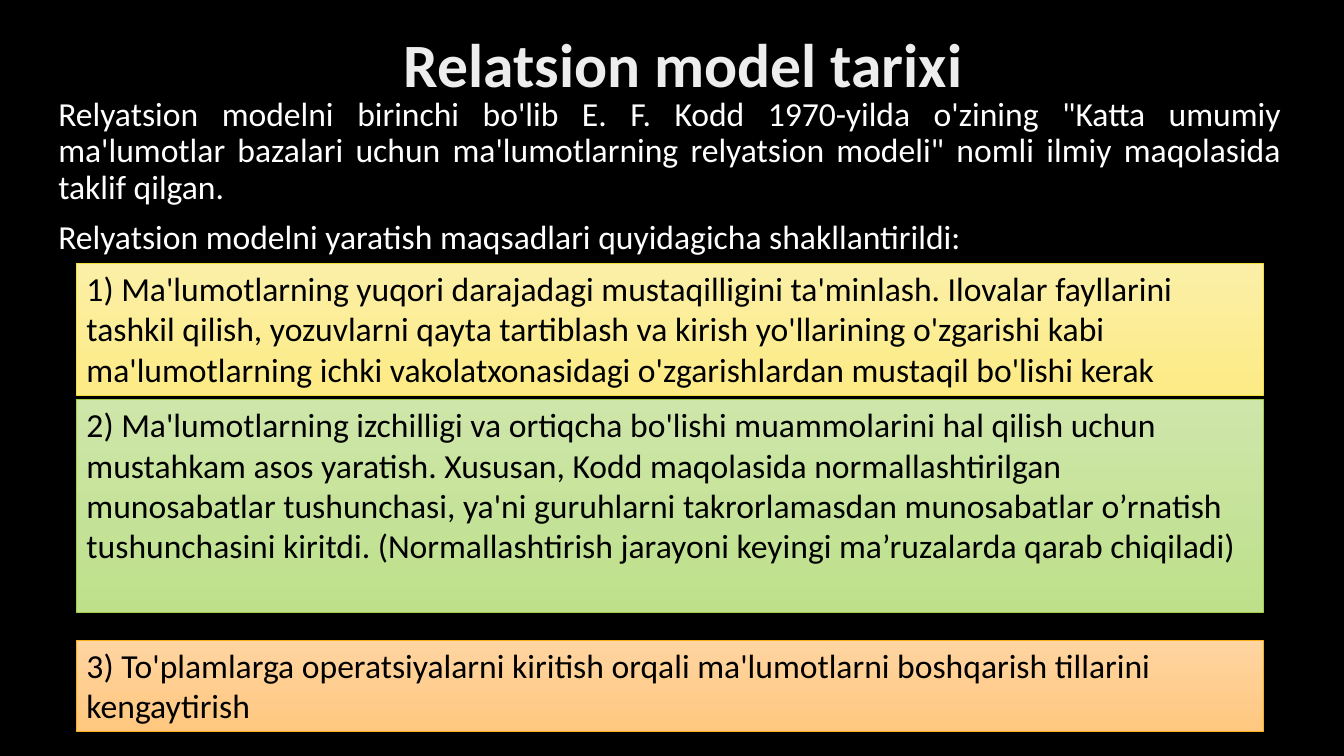
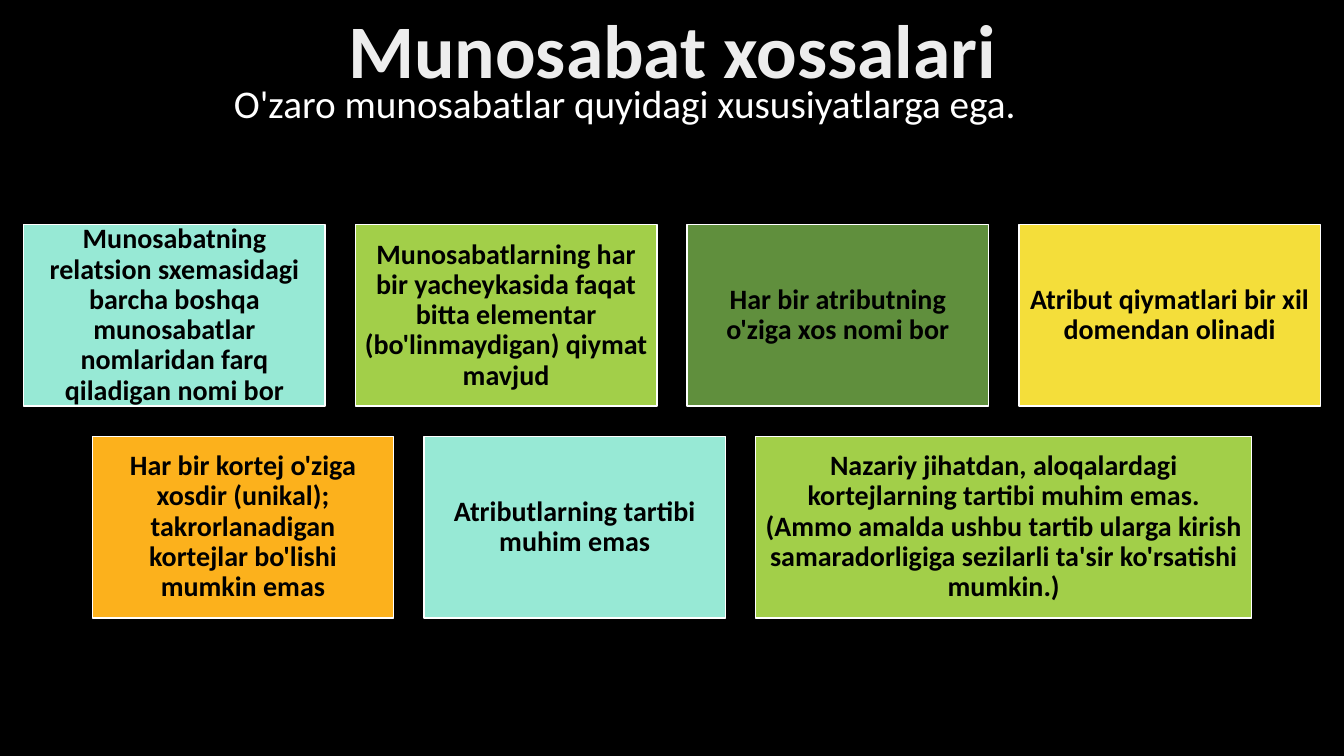
"""Two slides on the history of the relational model and the properties of relations."""
from pptx import Presentation
from pptx.dml.color import RGBColor
from pptx.enum.shapes import MSO_SHAPE
from pptx.enum.text import MSO_ANCHOR as Anchor, MSO_AUTO_SIZE as AutoSize, PP_ALIGN as Align
from pptx.util import Inches, Pt

WIDTH, HEIGHT = 13.33, 7.5
FONT = "Calibri"
COLOURS = {
    "black": "000000", "white": "FFFFFF", "title": "EDEDED",
    "aqua": "97E9D5", "lime": "A2CF49", "green": "608F3D",
    "yellow": "F4DE3A", "orange": "FCB11C",
    "yellow top": "FBEFA7", "yellow bottom": "FDEB85",
    "lime top": "CEE6AA", "lime bottom": "BEE08A",
    "orange top": "FFD5A1", "orange bottom": "FFC77F",
}

HISTORY_TITLE = "Relatsion model tarixi"
HISTORY_INTRO = [
    ("Relyatsion modelni birinchi bo'lib E. F. Kodd 1970-yilda o'zining \"Katta umumiy ma'lumotlar "
     "bazalari uchun ma'lumotlarning relyatsion modeli\" nomli ilmiy maqolasida taklif qilgan.",
     Align.JUSTIFY),
    ("Relyatsion modelni yaratish maqsadlari quyidagicha shakllantirildi:", Align.LEFT),
]
GOALS = [
    ("yellow", 2.61, 1.31,
     "1) Ma'lumotlarning yuqori darajadagi mustaqilligini ta'minlash. Ilovalar fayllarini tashkil "
     "qilish, yozuvlarni qayta tartiblash va kirish yo'llarining o'zgarishi kabi ma'lumotlarning "
     "ichki vakolatxonasidagi o'zgarishlardan mustaqil bo'lishi kerak"),
    ("lime", 3.96, 2.12,
     "2) Ma'lumotlarning izchilligi va ortiqcha bo'lishi muammolarini hal qilish uchun mustahkam "
     "asos yaratish. Xususan, Kodd maqolasida normallashtirilgan munosabatlar tushunchasi, ya'ni "
     "guruhlarni takrorlamasdan munosabatlar o’rnatish tushunchasini kiritdi. (Normallashtirish "
     "jarayoni keyingi ma’ruzalarda qarab chiqiladi)"),
    ("orange", 6.35, 0.91,
     "3) To'plamlarga operatsiyalarni kiritish orqali ma'lumotlarni boshqarish tillarini "
     "kengaytirish"),
]
GOAL_LEFT, GOAL_WIDTH = 0.76, 11.77

PROPERTIES_TITLE = "Munosabat xossalari"
PROPERTIES_INTRO = [("O'zaro munosabatlar quyidagi xususiyatlarga ega.", Align.LEFT)]
CARD, WIDE_CARD, CARD_HEIGHT, GAP, GRID_TOP = 2.99, 4.92, 1.8, 0.3, 2.23
PROPERTY_ROWS = [
    [
        ("aqua", CARD, "Munosabatning relatsion sxemasidagi barcha boshqa munosabatlar "
                       "nomlaridan farq qiladigan nomi bor"),
        ("lime", CARD, "Munosabatlarning har bir yacheykasida faqat bitta elementar "
                       "(bo'linmaydigan) qiymat mavjud"),
        ("green", CARD, "Har bir atributning o'ziga xos nomi bor"),
        ("yellow", CARD, "Atribut qiymatlari bir xil domendan olinadi"),
    ],
    [
        ("orange", CARD, "Har bir kortej o'ziga xosdir (unikal); takrorlanadigan kortejlar "
                         "bo'lishi mumkin emas"),
        ("aqua", CARD, "Atributlarning tartibi muhim emas"),
        ("lime", WIDE_CARD, "Nazariy jihatdan, aloqalardagi kortejlarning tartibi muhim emas. "
                            "(Ammo amalda ushbu tartib ularga kirish samaradorligiga sezilarli "
                            "ta'sir ko'rsatishi mumkin.)"),
    ],
]


def rgb(name):
    return RGBColor.from_string(COLOURS[name])


def write(paragraph, text, size, colour, align=Align.LEFT, bold=False, spacing=0.9):
    paragraph.alignment = align
    paragraph.line_spacing = spacing
    run = paragraph.add_run()
    run.text = text
    font = run.font
    font.name, font.size, font.bold = FONT, Pt(size), bold
    font.color.rgb = rgb(colour)


def add_titled_slide(deck, title, size, left, top):
    slide = deck.slides.add_slide(deck.slide_layouts[5])
    heading = slide.shapes.title
    heading.left, heading.top = Inches(left), Inches(top)
    heading.width, heading.height = Inches(11.5), Inches(0.5)
    frame = heading.text_frame
    frame.auto_size = AutoSize.NONE
    frame.vertical_anchor = Anchor.MIDDLE
    write(frame.paragraphs[0], title, size, "title", Align.CENTER, True)
    return slide


def add_intro(slide, area, paragraphs, size, indent=0.1):
    frame = slide.shapes.add_textbox(*map(Inches, area)).text_frame
    frame.word_wrap = True
    frame.margin_left = Inches(indent)
    for index, (text, align) in enumerate(paragraphs):
        paragraph = frame.add_paragraph() if index else frame.paragraphs[0]
        paragraph.space_before = Pt(10)
        write(paragraph, text, size, "white", align)


def add_box(slide, area, line_colour, line_width):
    box = slide.shapes.add_shape(MSO_SHAPE.RECTANGLE, *map(Inches, area))
    box.shadow.inherit = False
    box.line.color.rgb = rgb(line_colour)
    box.line.width = Pt(line_width)
    box.text_frame.word_wrap = True
    return box


def add_goal(slide, colour, top, height, text):
    box = add_box(slide, (GOAL_LEFT, top, GOAL_WIDTH, height), colour, 0.5)
    box.fill.gradient()
    box.fill.gradient_angle = 270
    for stop, end in zip(box.fill.gradient_stops, ("top", "bottom")):
        stop.color.rgb = rgb(f"{colour} {end}")
    box.text_frame.vertical_anchor = Anchor.TOP
    write(box.text_frame.paragraphs[0], text, 24, "black", spacing=1.0)


def add_property(slide, area, colour, text):
    card = add_box(slide, area, "white", 1)
    card.fill.solid()
    card.fill.fore_color.rgb = rgb(colour)
    frame = card.text_frame
    frame.vertical_anchor = Anchor.MIDDLE
    frame.margin_left = frame.margin_right = Inches(0.08)
    frame.margin_top = frame.margin_bottom = Inches(0.08)
    write(frame.paragraphs[0], text, 20, "black", Align.CENTER, True)


def build_history(deck):
    slide = add_titled_slide(deck, HISTORY_TITLE, 44, 1.03, 0.42)
    add_intro(slide, (0.48, 0.92, 12.33, 1.96), HISTORY_INTRO, 24)
    for goal in GOALS:
        add_goal(slide, *goal)


def build_properties(deck):
    slide = add_titled_slide(deck, PROPERTIES_TITLE, 54, 0.92, 0.29)
    add_intro(slide, (1.22, 0.79, WIDTH - 1.22, 0.79), PROPERTIES_INTRO, 28, indent=1.1)
    for row, cards in enumerate(PROPERTY_ROWS):
        row_width = sum(width for _, width, _ in cards) + GAP * (len(cards) - 1)
        left = (WIDTH - row_width) / 2
        top = GRID_TOP + row * (CARD_HEIGHT + GAP)
        for colour, width, text in cards:
            add_property(slide, (left, top, width, CARD_HEIGHT), colour, text)
            left += width + GAP


def main():
    deck = Presentation()
    deck.slide_width, deck.slide_height = Inches(WIDTH), Inches(HEIGHT)
    backdrop = deck.slide_master.background.fill
    backdrop.solid()
    backdrop.fore_color.rgb = rgb("black")
    build_history(deck)
    build_properties(deck)
    deck.save("out.pptx")


if __name__ == "__main__":
    main()
